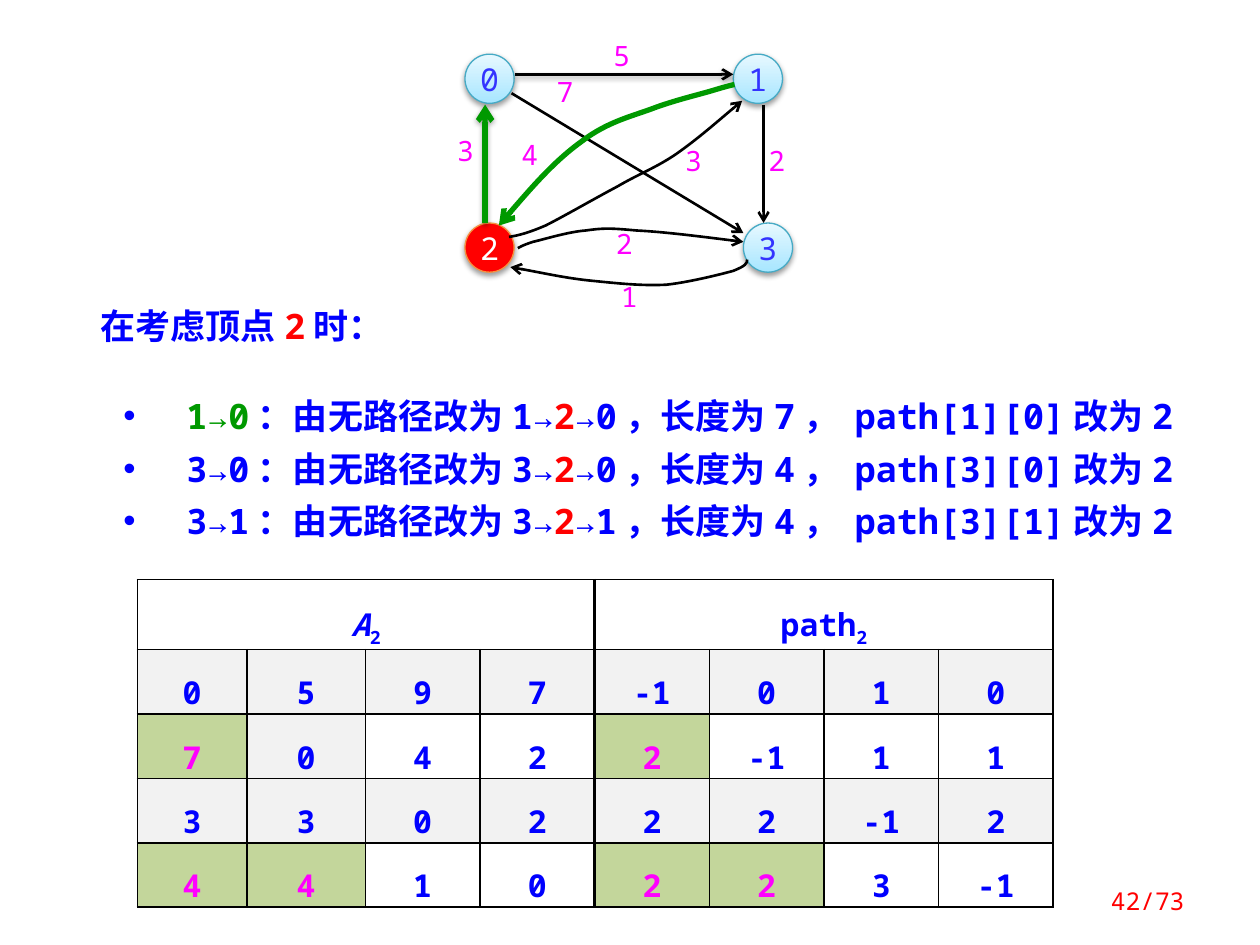
"""Build the slide on the Floyd algorithm step that considers vertex 2."""
from lxml import etree
from pptx import Presentation
from pptx import util as u
from pptx.dml.color import RGBColor
from pptx.enum import shapes, text
from pptx.oxml import parse_xml
from pptx.oxml.ns import nsdecls, qn


class Theme:
    font = "Noto Sans Mono"
    body, node, label, page = 20, 18, 16, 14
    blue, node_blue, red, green = "0000FF", "3333FF", "FF0000", "009900"
    magenta, black, white = "FF00FF", "000000", "FFFFFF"
    sky, pale_sky, teal, orange = "A7E6FF", "E7F8FF", "46AAC5", "F69240"
    grey, olive = "F2F2F2", "C3D69B"


def write(p, runs, size, color=None, bold=False, align=None, spacing=None):
    p.alignment, p.line_spacing = align, spacing
    p.font.name, p.font.size, p.font.bold = Theme.font, u.Pt(size), bold
    if color:
        p.font.color.rgb = RGBColor.from_string(color)
    for content, run_color in runs:
        r = p.add_run()
        r.text = content
        if run_color:
            r.font.color.rgb = RGBColor.from_string(run_color)


def add_effects(sp, shadow):
    inner = (
        '<a:outerShdw blurRad="40000" dist="20000" dir="5400000" rotWithShape="0">'
        '<a:srgbClr val="000000"><a:alpha val="38000"/></a:srgbClr></a:outerShdw>'
    ) if shadow else ""
    props = sp._element.spPr
    for old in props.findall(qn("a:effectLst")):
        props.remove(old)
    props.append(parse_xml(f'<a:effectLst {nsdecls("a")}>{inner}</a:effectLst>'))


prs = Presentation()
prs.slide_width, prs.slide_height = u.Inches(10), u.Inches(7.5)
s = prs.slides.add_slide(prs.slide_layouts[6])
CENTER = text.PP_ALIGN.CENTER

sp = s.shapes.add_shape(shapes.MSO_SHAPE.RECTANGLE, u.Inches(0.78), u.Inches(2.97),
                        u.Inches(8.67), u.Inches(1.42))
sp.shadow.inherit = False
sp.fill.solid()
sp.fill.fore_color.rgb = RGBColor.from_string(Theme.white)
sp.line.fill.background()
tf = sp.text_frame
tf.word_wrap = True
tf.vertical_anchor = text.MSO_ANCHOR.TOP
tf.margin_left = u.Inches(0.2)
tf.margin_top = tf.margin_bottom = u.Inches(0.08)
for i, (start, end) in enumerate([(1, 0), (3, 0), (3, 1)]):
    p = tf.paragraphs[0] if i == 0 else tf.add_paragraph()
    props = p._p.get_or_add_pPr()
    props.set("marL", str(u.Inches(0.5)))
    props.set("indent", str(u.Inches(-0.5)))
    color = etree.SubElement(props, qn("a:buClr"))
    etree.SubElement(color, qn("a:srgbClr"), val=Theme.blue)
    etree.SubElement(props, qn("a:buFont"), typeface="Arial")
    etree.SubElement(props, qn("a:buChar"), char="•")
    length = 7 if start == 1 else 4
    write(p, [(f"{start}→{end}", Theme.green if i == 0 else Theme.blue),
              (f"：由无路径改为{start}→", Theme.blue), ("2", Theme.red),
              (f"→{end}，长度为{length}， path[{start}][{end}]改为2", Theme.blue)],
          Theme.body, bold=True, align=text.PP_ALIGN.LEFT, spacing=u.Pt(30))

matrix = [
    [0, 5, 9, 7, -1, 0, 1, 0],
    [7, 0, 4, 2, 2, -1, 1, 1],
    [3, 3, 0, 2, 2, 2, -1, 2],
    [4, 4, 1, 0, 2, 2, 3, -1],
]
changed = {(2, 0), (2, 4), (4, 0), (4, 1), (4, 4), (4, 5)}
table = s.shapes.add_table(5, 8, u.Inches(1.09), u.Inches(4.6),
                           u.Inches(7.27), u.Inches(2.5)).table
table.first_row = table.horz_banding = False
for column, width in zip(table.columns, [0.87, 0.94] + [0.91] * 6):
    column.width = u.Inches(width)
for row in table.rows:
    row.height = u.Inches(0.5)
for i in range(5):
    for j in range(8):
        cell = table.cell(i, j)
        cell.margin_left = cell.margin_right = u.Inches(0.07)
        cell.margin_top = cell.margin_bottom = 0
        thick = {"L": j == 4, "R": j == 3, "T": False, "B": i == 4}
        for side, heavy in thick.items():
            cell._tc.get_or_add_tcPr().append(parse_xml(
                f'<a:ln{side} {nsdecls("a")} w="{u.Pt(1.5 if heavy else 1)}"><a:solidFill>'
                f'<a:srgbClr val="{Theme.black}"/></a:solidFill></a:ln{side}>'))
        if (i, j) in changed or i % 2 or (i, j) == (2, 1):
            cell.fill.solid()
            fill = Theme.olive if (i, j) in changed else Theme.grey
            cell.fill.fore_color.rgb = RGBColor.from_string(fill)
        else:
            cell.fill.background()
        if i:
            write(cell.text_frame.paragraphs[0], [(str(matrix[i - 1][j]), None)], Theme.node,
                  Theme.magenta if (i, j) in changed else Theme.blue, True, CENTER, 1.5)
for j, name in [(0, "A"), (4, "path")]:
    table.cell(0, j).merge(table.cell(0, j + 3))
    p = table.cell(0, j).text_frame.paragraphs[0]
    write(p, [(name, None), ("2", None)], Theme.node, Theme.blue, True, CENTER, 1.5)
    p.runs[0].font.italic = name == "A"
    p.runs[1]._r.get_or_add_rPr().set("baseline", "-25000")

for name, x, y in [("0", 3.69, 0.43), ("1", 5.82, 0.43), ("2", 3.69, 1.77), ("3", 5.9, 1.77)]:
    current = name == "2"
    sp = s.shapes.add_shape(shapes.MSO_SHAPE.OVAL, u.Inches(x), u.Inches(y),
                            u.Inches(0.39), u.Inches(0.39))
    if current:
        sp.fill.solid()
        sp.fill.fore_color.rgb = RGBColor.from_string(Theme.red)
    else:
        sp.fill.gradient()
        sp.fill.gradient_angle = 90
        for stop, color in zip(sp.fill.gradient_stops, [Theme.sky, Theme.pale_sky]):
            stop.color.rgb = RGBColor.from_string(color)
    sp.line.color.rgb = RGBColor.from_string(Theme.orange if current else Theme.teal)
    sp.line.width = u.Pt(0.75)
    add_effects(sp, True)
    tf = sp.text_frame
    tf.word_wrap = False
    tf.vertical_anchor = text.MSO_ANCHOR.MIDDLE
    write(tf.paragraphs[0], [(name, None)], Theme.node,
          Theme.white if current else Theme.node_blue, align=CENTER, spacing=u.Pt(22))

edges = [
    (Theme.black, True, [(4.09, 0.59), (5.82, 0.59)]),
    (Theme.green, True, [(3.85, 1.77), (3.85, 0.83)]),
    (Theme.black, False, [(4.06, 0.74), (5.9, 1.85)]),
    (Theme.black, False, [(6.06, 0.83), (6.06, 1.77)]),
    (Theme.black, False, [(5.93, 2.06), (5.93, 2.09), (5.92, 2.11), (5.82, 2.15), (5.71, 2.18),
                          (5.47, 2.24), (5.29, 2.26), (5.1, 2.27), (4.91, 2.25), (4.71, 2.23),
                          (4.5, 2.21), (4.28, 2.16), (4.05, 2.12)]),
    (Theme.black, False, [(4.11, 1.97), (4.13, 1.96), (4.14, 1.95), (4.23, 1.92), (4.32, 1.9),
                          (4.51, 1.84), (4.65, 1.83), (4.79, 1.81), (4.84, 1.81), (5.05, 1.83),
                          (5.26, 1.84), (5.58, 1.88), (5.9, 1.92)]),
    (Theme.green, False, [(5.83, 0.67), (5.79, 0.68), (5.75, 0.69), (5.65, 0.72), (5.55, 0.75),
                          (5.38, 0.79), (5.21, 0.85), (5.03, 0.92), (4.83, 0.96), (4.62, 1.12),
                          (4.41, 1.27), (4.18, 1.53), (3.96, 1.79)]),
    (Theme.black, False, [(4.04, 1.88), (4.11, 1.87), (4.19, 1.85), (4.33, 1.79), (4.47, 1.72),
                          (4.73, 1.57), (4.9, 1.48), (5.07, 1.38), (5.21, 1.33), (5.37, 1.22),
                          (5.54, 1.1), (5.71, 0.95), (5.89, 0.8)]),
]
for color, shadow, points in edges:
    points = [(u.Inches(x), u.Inches(y)) for x, y in points]
    if len(points) == 2:
        sp = s.shapes.add_connector(shapes.MSO_CONNECTOR.STRAIGHT, *points[0], *points[1])
    else:
        builder = s.shapes.build_freeform(*points[0])
        builder.add_line_segments(points[1:], close=False)
        sp = builder.convert_to_shape()
        sp.fill.background()
        segments = list(sp._element.iter(qn("a:lnTo")))
        for k in range(0, len(segments), 3):
            curve = etree.SubElement(segments[k].getparent(), qn("a:cubicBezTo"))
            for segment in segments[k:k + 3]:
                curve.append(segment[0])
                segment.getparent().remove(segment)
    sp.line.color.rgb = RGBColor.from_string(color)
    sp.line.width = u.Pt(3 if color == Theme.green else 1.5)
    etree.SubElement(sp.line._get_or_add_ln(), qn("a:tailEnd"), type="arrow")
    add_effects(sp, shadow)

for weight, x, y in [("5", 4.7, 0.31), ("3", 3.46, 1.06), ("2", 5.93, 1.14), ("7", 4.25, 0.59),
                     ("3", 5.27, 1.14), ("1", 4.76, 2.22), ("2", 4.72, 1.8), ("4", 3.97, 1.09)]:
    tf = s.shapes.add_textbox(u.Inches(x), u.Inches(y), u.Inches(0.47), u.Inches(0.32)).text_frame
    tf.word_wrap = True
    write(tf.paragraphs[0], [(weight, None)], Theme.label, Theme.magenta, align=CENTER, spacing=0.8)

tf = s.shapes.add_textbox(u.Inches(0.7), u.Inches(2.37), u.Inches(3.13), u.Inches(0.44)).text_frame
tf.word_wrap = True
write(tf.paragraphs[0], [("在考虑顶点", Theme.blue), ("2", Theme.red), ("时：", Theme.blue)],
      Theme.body, bold=True)

tf = s.shapes.add_textbox(u.Inches(8.52), u.Inches(6.95), u.Inches(0.98), u.Inches(0.4)).text_frame
tf.word_wrap = True
tf.vertical_anchor = text.MSO_ANCHOR.MIDDLE
write(tf.paragraphs[0], [("42/73", None)], Theme.page, Theme.red, align=text.PP_ALIGN.RIGHT)

prs.save("out.pptx")
